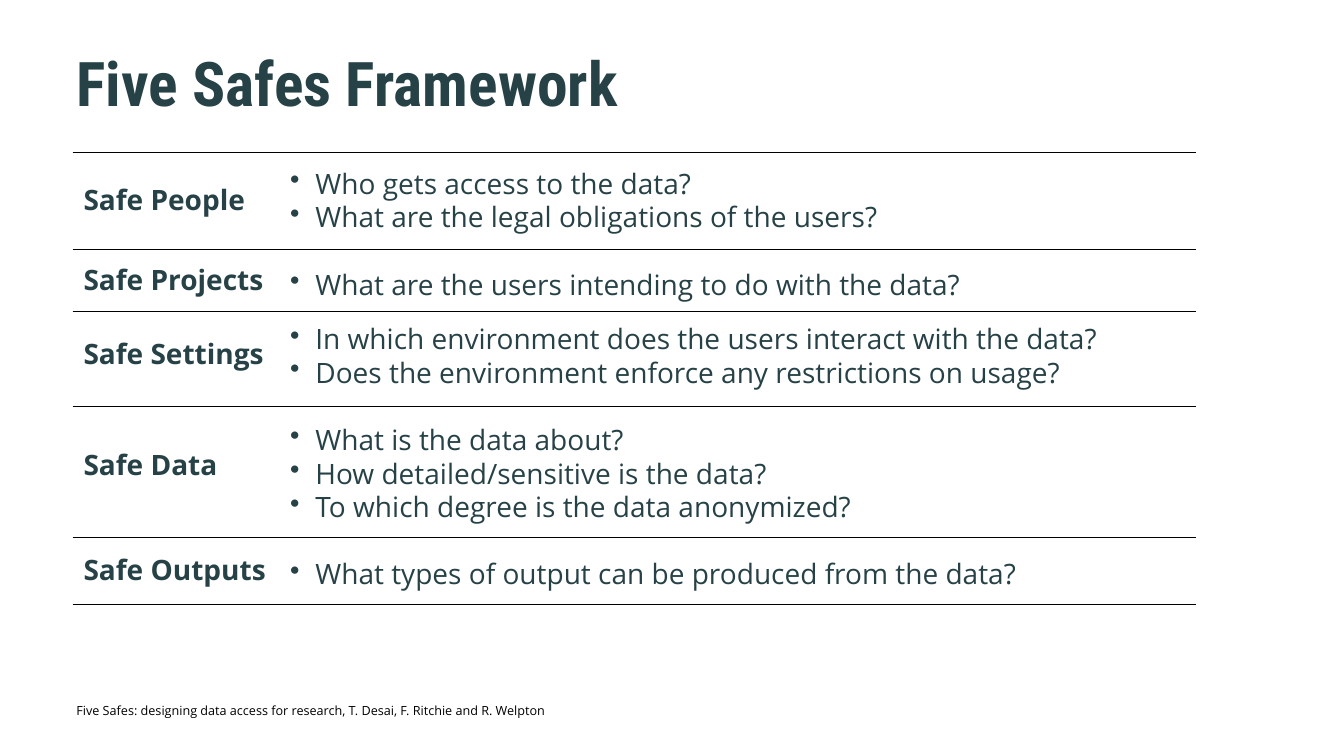
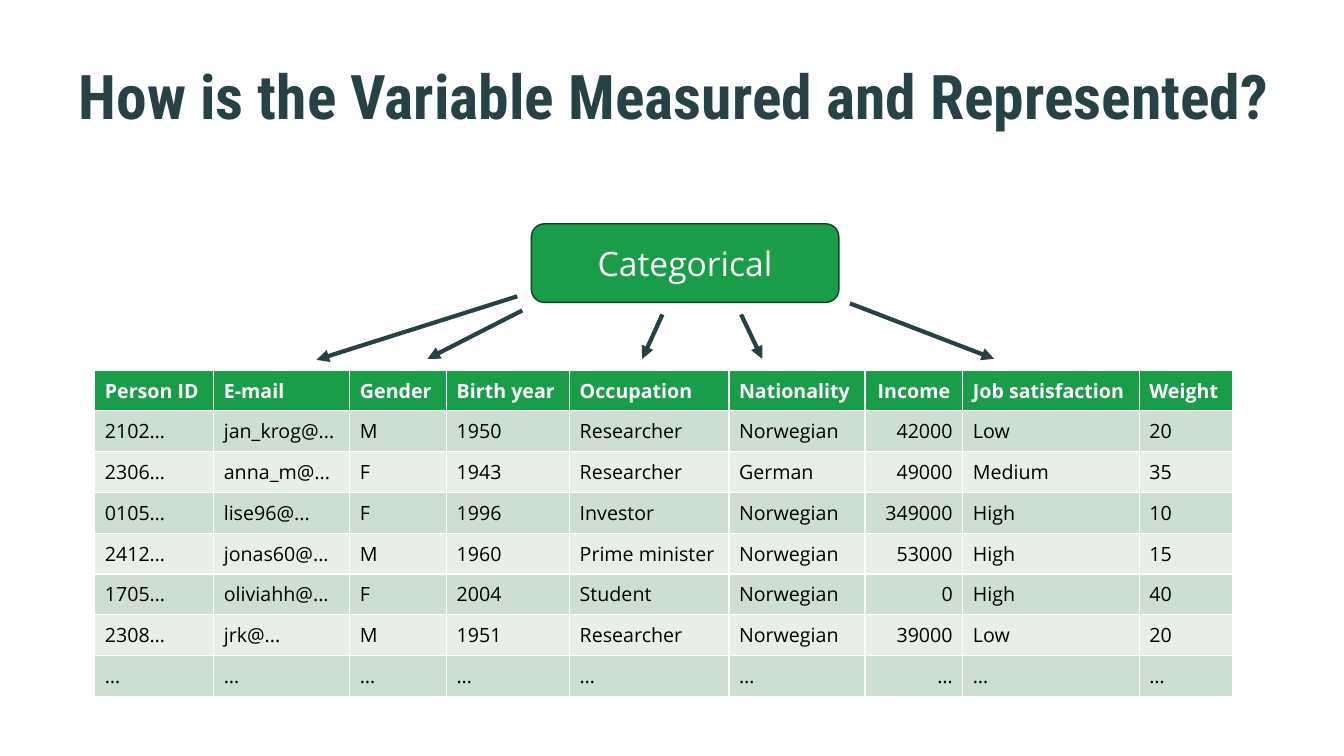
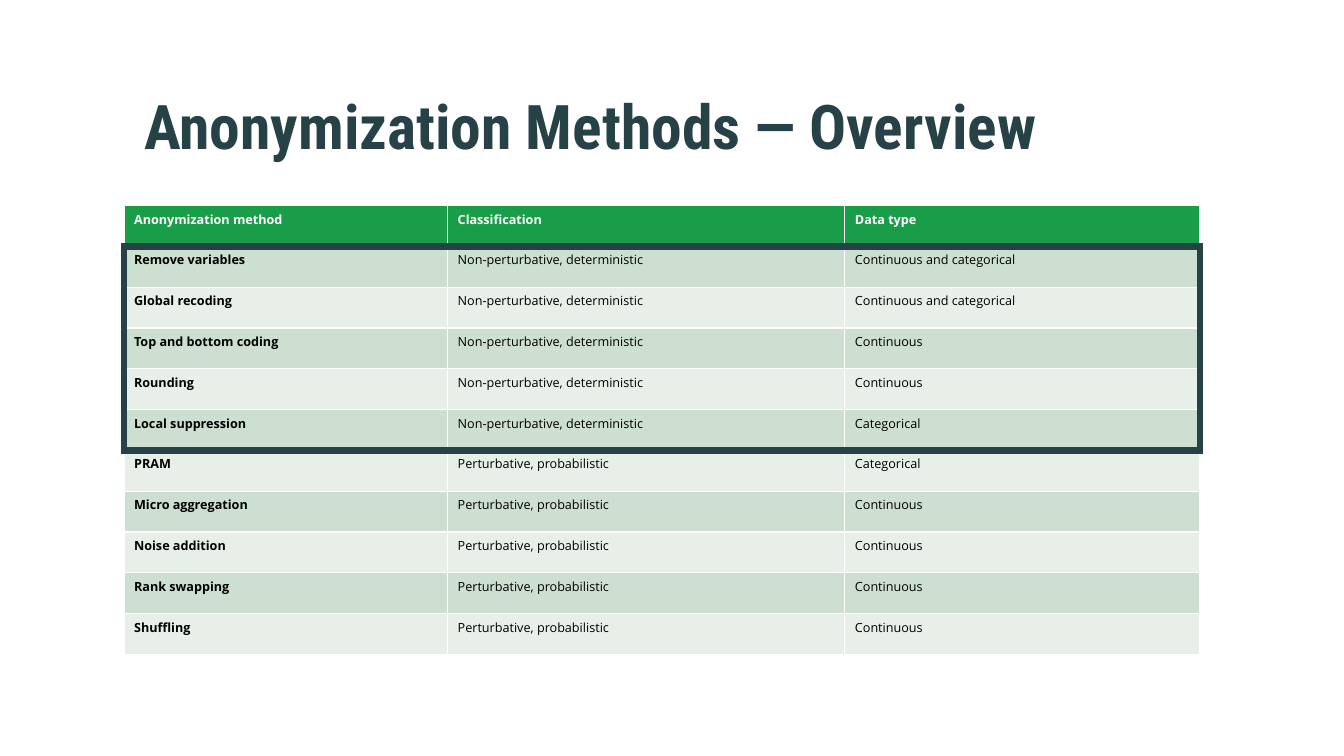
import lxml.etree
import pptx
import pptx.dml.color
import pptx.enum.shapes
import pptx.enum.text
import pptx.oxml.ns
import pptx.util

Inches = pptx.util.Inches
Pt = pptx.util.Pt
Align = pptx.enum.text.PP_ALIGN
Anchor = pptx.enum.text.MSO_ANCHOR
Shapes = pptx.enum.shapes.MSO_SHAPE

# Shared style
HEADING_FONT, BODY_FONT = "Roboto Condensed", "Open Sans"
DARK, GREEN, DEEP_GREEN = "274247", "1A9D49", "0B4520"
BLACK, WHITE = "000000", "FFFFFF"
BANDS = ("CDDFD0", "E8EFE9")
ROW_HEIGHT = 0.405

# Slide 1: label, label top, rule below, space before in points, questions
SAFES = [
    ("Safe People", 1.76, 2.47, 0, [
        "Who gets access to the data?",
        "What are the legal obligations of the users?"]),
    ("Safe Projects", 2.56, 3.09, 24, [
        "What are the users intending to do with the data?"]),
    ("Safe Settings", 3.29, 4.03, 15, [
        "In which environment does the users interact with the data?",
        "Does the environment enforce any restrictions on usage?"]),
    ("Safe Data", 4.39, 5.33, 24, [
        "What is the data about?",
        "How detailed/sensitive is the data?",
        "To which degree is the data anonymized?"]),
    ("Safe Outputs", 5.43, 6.0, 24, [
        "What types of output can be produced from the data?"]),
]
CITATION = ("Five Safes: designing data access for research, "
            "T. Desai, F. Ritchie and R. Welpton")

# Slide 2
PEOPLE_WIDTHS = [1.18, 1.35, 0.96, 1.22, 1.58, 1.35, 0.97, 1.75, 0.93]
PEOPLE = [
    ("Person ID", "E-mail", "Gender", "Birth year", "Occupation",
     "Nationality", "Income", "Job satisfaction", "Weight"),
    ("2102…", "jan_krog@...", "M", "1950", "Researcher", "Norwegian", "42000", "Low", "20"),
    ("2306…", "anna_m@...", "F", "1943", "Researcher", "German", "49000", "Medium", "35"),
    ("0105…", "lise96@...", "F", "1996", "Investor", "Norwegian", "349000", "High", "10"),
    ("2412…", "jonas60@...", "M", "1960", "Prime minister", "Norwegian", "53000", "High", "15"),
    ("1705…", "oliviahh@...", "F", "2004", "Student", "Norwegian", "0", "High", "40"),
    ("2308…", "jrk@...", "M", "1951", "Researcher", "Norwegian", "39000", "Low", "20"),
    ("…",) * 9,
]
INCOME = PEOPLE[0].index("Income")
ARROWS = [
    ((5.13, 2.94), (3.14, 3.57)),
    ((5.18, 3.08), (4.24, 3.56)),
    ((6.57, 3.12), (6.37, 3.56)),
    ((7.35, 3.12), (7.56, 3.56)),
    ((8.43, 3.01), (9.86, 3.56)),
]

# Slide 3
METHOD_WIDTHS = [3.21, 3.94, 3.52]
KEPT = "Non-perturbative, deterministic"
CHANGED = "Perturbative, probabilistic"
METHODS = [
    ("Anonymization method", "Classification", "Data type"),
    ("Remove variables", KEPT, "Continuous and categorical"),
    ("Global recoding", KEPT, "Continuous and categorical"),
    ("Top and bottom coding", KEPT, "Continuous"),
    ("Rounding", KEPT, "Continuous"),
    ("Local suppression", KEPT, "Categorical"),
    ("PRAM", CHANGED, "Categorical"),
    ("Micro aggregation", CHANGED, "Continuous"),
    ("Noise addition", CHANGED, "Continuous"),
    ("Rank swapping", CHANGED, "Continuous"),
    ("Shuffling", CHANGED, "Continuous"),
]


def color(value):
    return pptx.dml.color.RGBColor.from_string(value)


def add_element(parent, tag, **attributes):
    lxml.etree.SubElement(parent, pptx.oxml.ns.qn(tag), **attributes)


def format_runs(para, size, ink, bold=False, font=BODY_FONT):
    for span in para.runs:
        span.font.name = font
        span.font.size = Pt(size)
        span.font.bold = bold
        span.font.color.rgb = color(ink)


def add_page(deck, title, left, top, width):
    page = deck.slides.add_slide(deck.slide_layouts[5])
    box = page.shapes.title
    box.left, box.top = Inches(left), Inches(top)
    box.width, box.height = Inches(width), Inches(1.43)
    frame = box.text_frame
    frame.text = title
    frame.word_wrap = True
    frame.auto_size = pptx.enum.text.MSO_AUTO_SIZE.NONE
    frame.vertical_anchor = Anchor.MIDDLE
    frame.margin_top = 0
    para = frame.paragraphs[0]
    para.alignment = Align.LEFT
    para.line_spacing = 0.9
    format_runs(para, 44, DARK, True, HEADING_FONT)
    return page


def add_text(page, text, left, top, width, height, size, ink, bold=False):
    box = page.shapes.add_textbox(Inches(left), Inches(top), Inches(width), Inches(height))
    frame = box.text_frame
    frame.word_wrap = True
    frame.text = text
    for para in frame.paragraphs:
        format_runs(para, size, ink, bold)
    return frame


def add_line(page, start, end, ink, weight, arrow=False):
    line = page.shapes.add_connector(
        pptx.enum.shapes.MSO_CONNECTOR.STRAIGHT, *map(Inches, start + end))
    line.line.color.rgb = color(ink)
    line.line.width = Pt(weight)
    if arrow:
        add_element(line._element.spPr.find(pptx.oxml.ns.qn("a:ln")),
                    "a:tailEnd", type="triangle")
    add_element(line._element.spPr, "a:effectLst")


def add_grid(page, rows, widths, left, top, size, anchor, bold_first=False):
    grid = page.shapes.add_table(
        len(rows), len(widths), Inches(left), Inches(top),
        Inches(sum(widths)), Inches(ROW_HEIGHT * len(rows))).table
    for column, width in zip(grid.columns, widths):
        column.width = Inches(width)
    for r, row in enumerate(rows):
        grid.rows[r].height = Inches(ROW_HEIGHT)
        header = r == 0
        for c, text in enumerate(row):
            cell = grid.cell(r, c)
            cell.text_frame.text = text
            cell.vertical_anchor = anchor
            cell.fill.solid()
            cell.fill.fore_color.rgb = color(GREEN if header else BANDS[(r - 1) % 2])
            format_runs(cell.text_frame.paragraphs[0], size,
                        WHITE if header else BLACK, header or (bold_first and c == 0))
    return grid


def build_framework(deck):
    page = add_page(deck, "Five Safes Framework", 0.66, 0.17, 12.15)

    # Questions
    questions = [question for safe in SAFES for question in safe[4]]
    gaps = [gap if i == 0 else 0
            for *_, gap, group in SAFES for i in range(len(group))]
    frame = add_text(page, "\n".join(questions), 2.78, 1.6, 10.56, 5.06, 20, DARK)
    for para, gap in zip(frame.paragraphs, gaps):
        para.space_before = Pt(gap)
        properties = para._p.get_or_add_pPr()
        properties.set("marL", str(Inches(0.25)))
        properties.set("indent", str(-Inches(0.25)))
        add_element(properties, "a:buChar", char="•")

    # Labels and rules
    for label, top, *_ in SAFES:
        add_text(page, label, 0.73, top, 2.08, 0.44, 20, DARK, True)
    for y in [1.51] + [safe[2] for safe in SAFES]:
        add_line(page, (0.72, y), (11.86, y), BLACK, 0.5)

    add_text(page, CITATION, 0.66, 6.92, 5.1, 0.25, 9, BLACK)


def build_variables(deck):
    page = add_page(deck, "How is the Variable Measured and Represented?", 0.68, 0.3, 12.36)
    for start, end in ARROWS:
        add_line(page, start, end, DARK, 3, arrow=True)

    # Variable type
    box = page.shapes.add_shape(
        Shapes.ROUNDED_RECTANGLE, Inches(5.27), Inches(2.22), Inches(3.05), Inches(0.78))
    box.shadow.inherit = False
    box.fill.solid()
    box.fill.fore_color.rgb = color(GREEN)
    box.line.color.rgb = color(DEEP_GREEN)
    box.line.width = Pt(1)
    box.text_frame.text = "Categorical"
    box.text_frame.vertical_anchor = Anchor.MIDDLE
    box.text_frame.paragraphs[0].alignment = Align.CENTER
    format_runs(box.text_frame.paragraphs[0], 24, WHITE)

    # Survey data, with incomes to the right
    grid = add_grid(page, PEOPLE, PEOPLE_WIDTHS, 0.94, 3.67, 14, Anchor.MIDDLE)
    for r in range(len(PEOPLE)):
        para = grid.cell(r, INCOME).text_frame.paragraphs[0]
        para.alignment = Align.RIGHT if r else Align.CENTER


def build_methods(deck):
    page = add_page(deck, "Anonymization Methods — Overview", 1.33, 0.6, 10.56)
    left, top = 1.23, 2.04
    add_grid(page, METHODS, METHOD_WIDTHS, left, top, 9, Anchor.TOP, bold_first=True)

    # Square-cornered frame around the non-perturbative methods
    count = sum(row[1] == KEPT for row in METHODS)
    frame = page.shapes.add_shape(
        Shapes.RECTANGLE, Inches(left), Inches(top + ROW_HEIGHT),
        Inches(sum(METHOD_WIDTHS)), Inches(ROW_HEIGHT * count))
    frame.shadow.inherit = False
    frame.fill.background()
    frame.line.color.rgb = color(DARK)
    frame.line.width = Pt(4.5)
    add_element(frame._element.spPr.find(pptx.oxml.ns.qn("a:ln")), "a:miter", lim="800000")


def main():
    deck = pptx.Presentation()
    deck.slide_width, deck.slide_height = Inches(13.33), Inches(7.5)
    build_framework(deck)
    build_variables(deck)
    build_methods(deck)
    deck.save("out.pptx")


if __name__ == "__main__":
    main()
